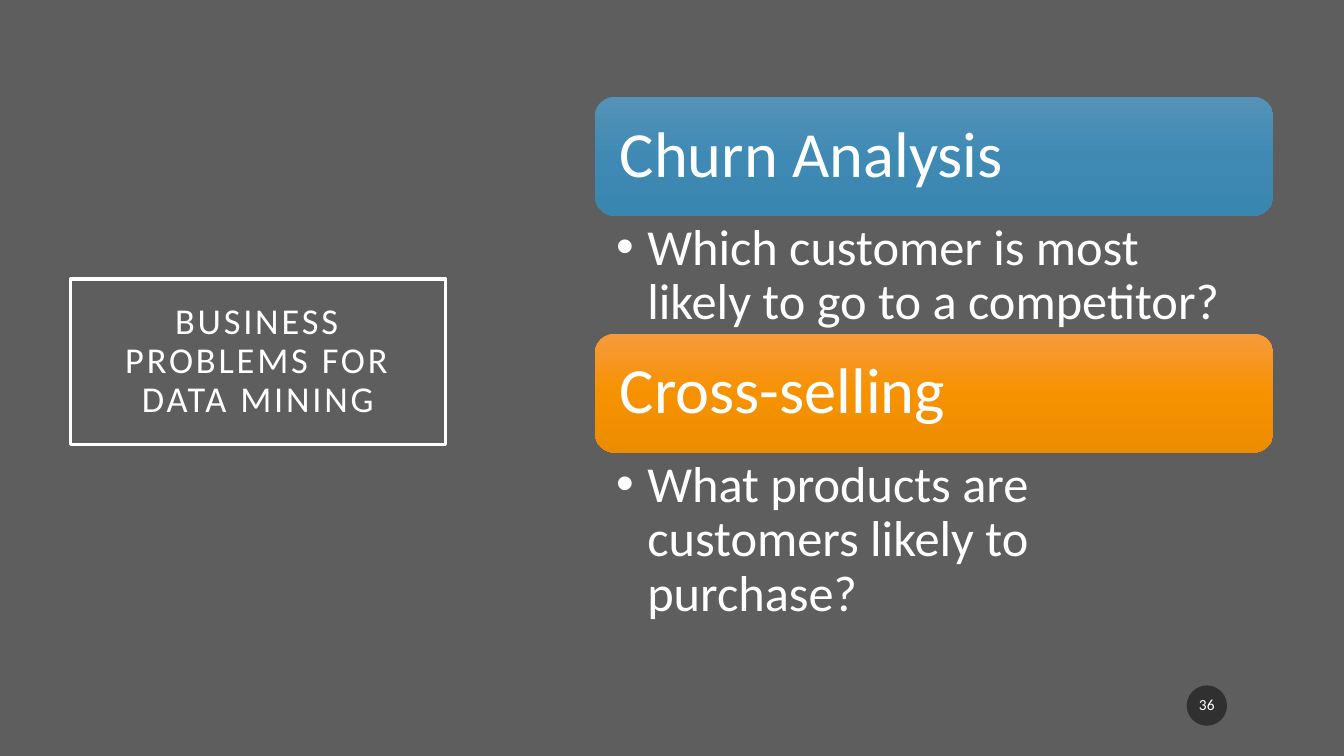
from copy import deepcopy

from pptx import Presentation
from pptx.dml.color import RGBColor
from pptx.enum.shapes import MSO_SHAPE
from pptx.enum.text import MSO_ANCHOR, MSO_AUTO_SIZE, PP_ALIGN
from pptx.oxml.ns import qn
from pptx.util import Inches, Pt

ROUND, OVAL = MSO_SHAPE.ROUNDED_RECTANGLE, MSO_SHAPE.OVAL
TOP, MIDDLE = MSO_ANCHOR.TOP, MSO_ANCHOR.MIDDLE
LEFT, CENTER = PP_ALIGN.LEFT, PP_ALIGN.CENTER
FIXED = MSO_AUTO_SIZE.NONE
WIDE, HIGH = 13.33, 7.5
BAR = 1.18
COLORS = {"back": "5E5E5E", "text": "FFFFFF", "badge": "1D1D1D"}
BLUE = {0: "5592B7", 0.5: "3F8AB5", 1: "3986B1"}
ORANGE = {0: "F79A3D", 0.5: "F69200", 1: "EC8C00"}
TOPICS = [
    ("Churn Analysis", BLUE, 1.17,
     "Which customer is most likely to go to a competitor?"),
    ("Cross-selling", ORANGE, 1.72,
     "What products are customers likely to purchase?"),
]


def rgb(name):
    """Return the named color."""
    return RGBColor.from_string(COLORS[name])


def apply(item, values):
    """Set attributes from a dict of values."""
    for name, value in values.items():
        setattr(item, name, value)


def place(shape, box):
    """Move a shape to a box given in inches."""
    sides = ("left", "top", "width", "height")
    apply(shape, dict(zip(sides, map(Inches, box))))


def write(shape, text, size, pads, align=LEFT, anchor=MIDDLE):
    """Write one formatted paragraph and return it."""
    frame = shape.text_frame
    frame.text = text
    sides = ("margin_left", "margin_top", "margin_right", "margin_bottom")
    apply(frame, dict(zip(sides, map(Inches, pads))))
    apply(frame, {"word_wrap": True, "auto_size": FIXED,
                  "vertical_anchor": anchor})
    para = frame.paragraphs[0]
    apply(para, {"alignment": align, "line_spacing": 0.9,
                 "space_before": Pt(0)})
    font = para.runs[0].font
    apply(font, {"name": "Calibri", "size": Pt(size)})
    font.color.rgb = rgb("text")
    return para


def draw(slide, kind, box):
    """Add a plain preset shape without line or shadow."""
    shape = slide.shapes.add_shape(kind, *map(Inches, box))
    shape.shadow.inherit = False
    shape.line.fill.background()
    return shape


def shade(shape, colors):
    """Fill a shape with a gradient from top to bottom."""
    fill = shape.fill
    fill.gradient()
    fill.gradient_angle = 270
    stops = shape._element.spPr.find(qn("a:gradFill")).find(qn("a:gsLst"))
    stops.insert(1, deepcopy(stops[0]))
    for stop, (share, color) in zip(fill.gradient_stops, colors.items()):
        stop.position = share
        stop.color.rgb = RGBColor.from_string(color)


def add_title(slide, box):
    """Set the framed title."""
    title = slide.shapes.title
    place(title, box)
    title.line.color.rgb = rgb("text")
    title.line.width = Pt(2.5)
    para = write(title, "BUSINESS PROBLEMS FOR DATA MINING", 26,
                 [0.2] * 4, CENTER)
    para.runs[0]._r.get_or_add_rPr().set("spc", "200")


def add_topics(slide, left, top, width):
    """Stack each topic bar above its bullet."""
    for part, topic in enumerate(TOPICS, 1):
        name, colors, depth, detail = topic
        bar = draw(slide, ROUND, (left, top, width, BAR))
        shade(bar, colors)
        write(bar, name, 46, [0.19] * 4)
        top += BAR
        body = slide.placeholders[part]
        place(body, (left, top, width, depth))
        para = write(body, detail, 36, (0.21, 0.06, 0.36, 0.06), anchor=TOP)
        props = para._p.get_or_add_pPr()
        props.set("marL", str(Inches(0.31)))
        props.set("indent", str(-Inches(0.31)))
        top += depth


def add_badge(slide, box):
    """Add the round slide number."""
    badge = draw(slide, OVAL, box)
    badge.fill.solid()
    badge.fill.fore_color.rgb = rgb("badge")
    color = badge._element.spPr.find(qn("a:solidFill"))[0]
    alpha = color.makeelement(qn("a:alpha"), {"val": "70000"})
    color.append(alpha)
    write(badge, "36", 11, (0.02, 0.05, 0.02, 0.05), CENTER)


def main():
    """Build and save the slide."""
    deck = Presentation()
    apply(deck, {"slide_width": Inches(WIDE), "slide_height": Inches(HIGH)})
    slide = deck.slides.add_slide(deck.slide_layouts[3])
    slide.background.fill.solid()
    slide.background.fill.fore_color.rgb = rgb("back")
    add_title(slide, (0.7, 2.77, 3.72, 1.64))
    add_topics(slide, 5.9, 0.96, 6.73)
    add_badge(slide, (11.77, 6.8, 0.4, 0.4))
    deck.save("out.pptx")


if __name__ == "__main__":
    main()
